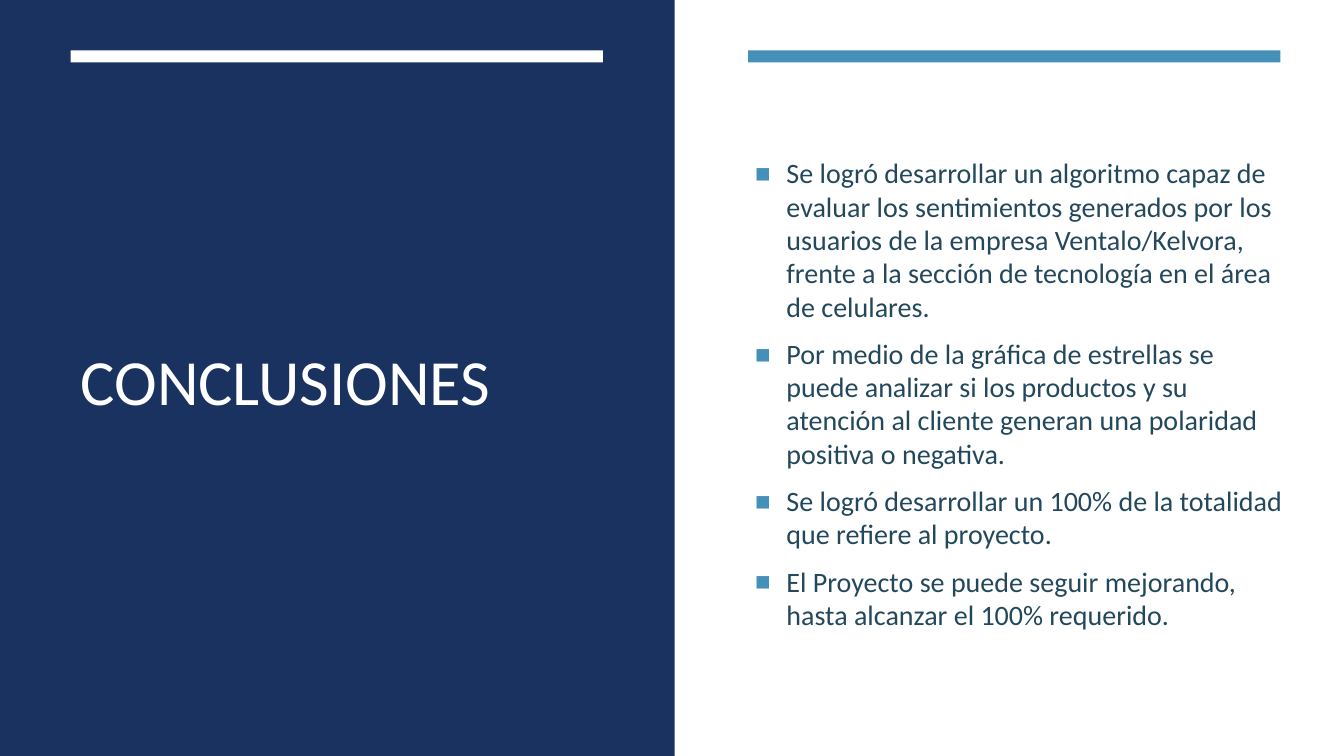
from lxml.etree import SubElement
from pptx import Presentation
from pptx.dml.color import RGBColor
from pptx.enum.shapes import MSO_SHAPE
from pptx.enum.text import MSO_ANCHOR, MSO_AUTO_SIZE, PP_ALIGN
from pptx.oxml.ns import qn
from pptx.util import Inches, Pt

NAVY = RGBColor(0x1A, 0x32, 0x60)
BLUE = RGBColor(0x45, 0x90, 0xB8)
SLATE = RGBColor(0x23, 0x48, 0x5C)
WHITE = RGBColor(0xFF, 0xFF, 0xFF)
FONT = "Calibri"

SLIDE_WIDTH, SLIDE_HEIGHT = 13.33, 7.5
PANEL_WIDTH = 6.69
LEFT_COLUMN, RIGHT_COLUMN = 0.7, 7.42
COLUMN_WIDTH = 5.28
BAR_TOP, BAR_HEIGHT = 0.5, 0.12
CONTENT_TOP = 1.13

CONCLUSIONS = [
    "Se logró desarrollar un algoritmo capaz de evaluar los sentimientos generados por los "
    "usuarios de la empresa Ventalo/Kelvora, frente a la sección de tecnología en el área "
    "de celulares.",
    "Por medio de la gráfica de estrellas se puede analizar si los productos y su atención "
    "al cliente generan una polaridad positiva o negativa.",
    "Se logró desarrollar un 100% de la totalidad que refiere al proyecto.",
    "El Proyecto se puede seguir mejorando, hasta alcanzar el 100% requerido.",
]


def add_block(slide, left, top, width, height, color):
    block = slide.shapes.add_shape(
        MSO_SHAPE.RECTANGLE, Inches(left), Inches(top), Inches(width), Inches(height)
    )
    block.shadow.inherit = False
    block.fill.solid()
    block.fill.fore_color.rgb = color
    block.line.fill.background()


def place_text(slide, placeholder, left, top, width, height):
    placeholder.left, placeholder.top = Inches(left), Inches(top)
    placeholder.width, placeholder.height = Inches(width), Inches(height)
    slide.shapes._spTree.append(placeholder._element)
    text_frame = placeholder.text_frame
    text_frame.word_wrap = True
    text_frame.auto_size = MSO_AUTO_SIZE.NONE
    text_frame.vertical_anchor = MSO_ANCHOR.MIDDLE
    return text_frame


def format_paragraph(paragraph, size, color):
    paragraph.alignment = PP_ALIGN.LEFT
    paragraph.font.name = FONT
    paragraph.font.size = Pt(size)
    paragraph.font.color.rgb = color


def add_square_bullet(paragraph):
    paragraph.space_before = Pt(4)
    paragraph.space_after = Pt(6)
    paragraph.line_spacing = 0.99
    properties = paragraph._p.get_or_add_pPr()
    properties.set("marL", str(Inches(0.31)))
    properties.set("indent", str(-Inches(0.31)))
    bullet_color = SubElement(properties, qn("a:buClr"))
    SubElement(bullet_color, qn("a:srgbClr"), val=str(BLUE))
    SubElement(properties, qn("a:buSzPct"), val="92000")
    SubElement(properties, qn("a:buFont"), typeface="Arial")
    SubElement(properties, qn("a:buChar"), char="■")
    default_run = properties.find(qn("a:defRPr"))
    if default_run is not None:
        properties.append(default_run)


def fill_title(slide):
    text_frame = place_text(
        slide, slide.shapes.title, LEFT_COLUMN, CONTENT_TOP, COLUMN_WIDTH, COLUMN_WIDTH
    )
    text_frame.text = "CONCLUSIONES"
    format_paragraph(text_frame.paragraphs[0], 46, WHITE)


def fill_conclusions(slide):
    text_frame = place_text(slide, slide.placeholders[1], 7.39, CONTENT_TOP, 5.46, 5.57)
    text_frame.text = "\n".join(CONCLUSIONS)
    for paragraph in text_frame.paragraphs:
        format_paragraph(paragraph, 20, SLATE)
        add_square_bullet(paragraph)


def main():
    presentation = Presentation()
    presentation.slide_width = Inches(SLIDE_WIDTH)
    presentation.slide_height = Inches(SLIDE_HEIGHT)
    slide = presentation.slides.add_slide(presentation.slide_layouts[1])
    add_block(slide, 0, 0, SLIDE_WIDTH, SLIDE_HEIGHT, WHITE)
    add_block(slide, 0, 0, PANEL_WIDTH, SLIDE_HEIGHT, NAVY)
    fill_title(slide)
    for left, color in ((LEFT_COLUMN, WHITE), (RIGHT_COLUMN, BLUE)):
        add_block(slide, left, BAR_TOP, COLUMN_WIDTH, BAR_HEIGHT, color)
    fill_conclusions(slide)
    presentation.save("out.pptx")


if __name__ == "__main__":
    main()
